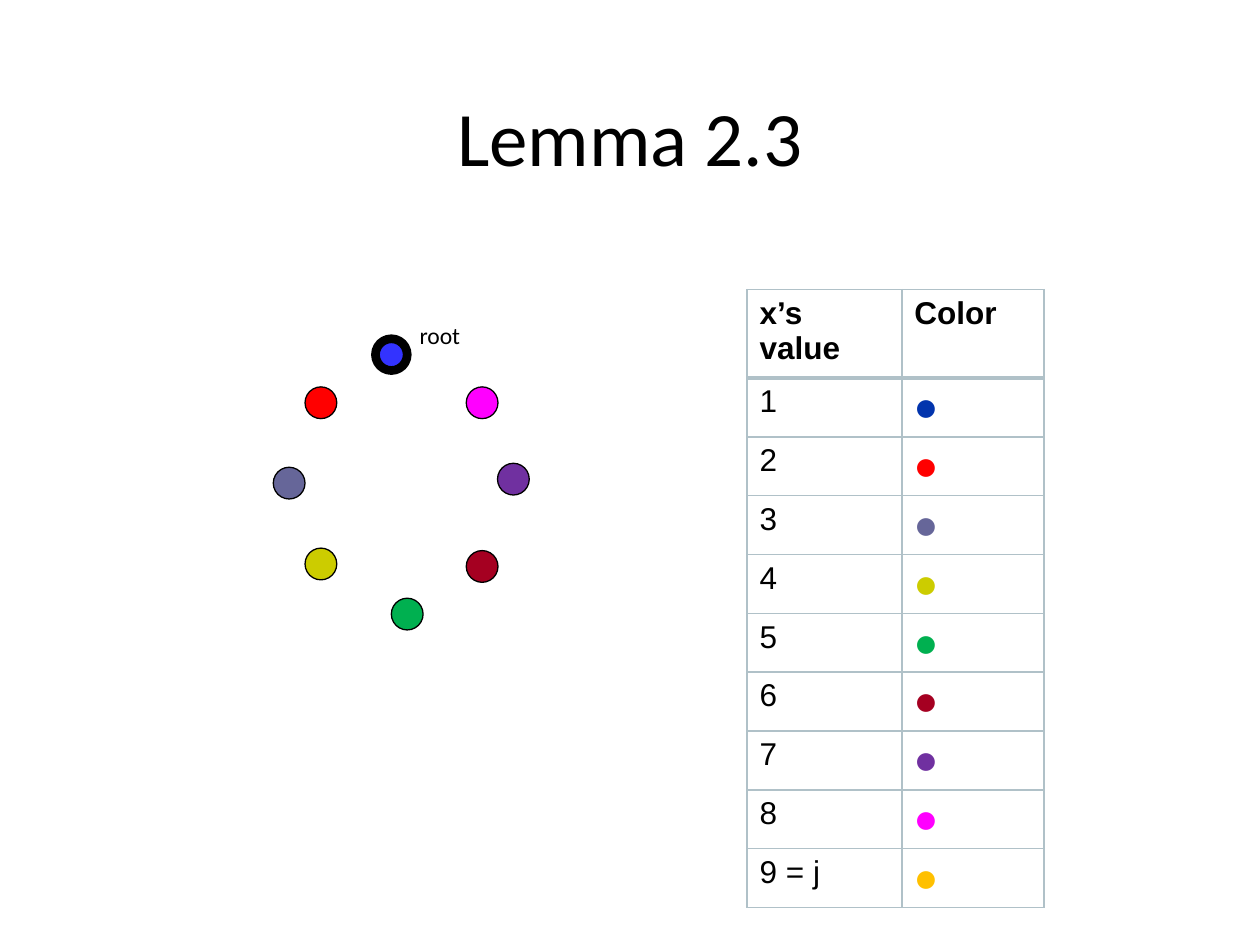
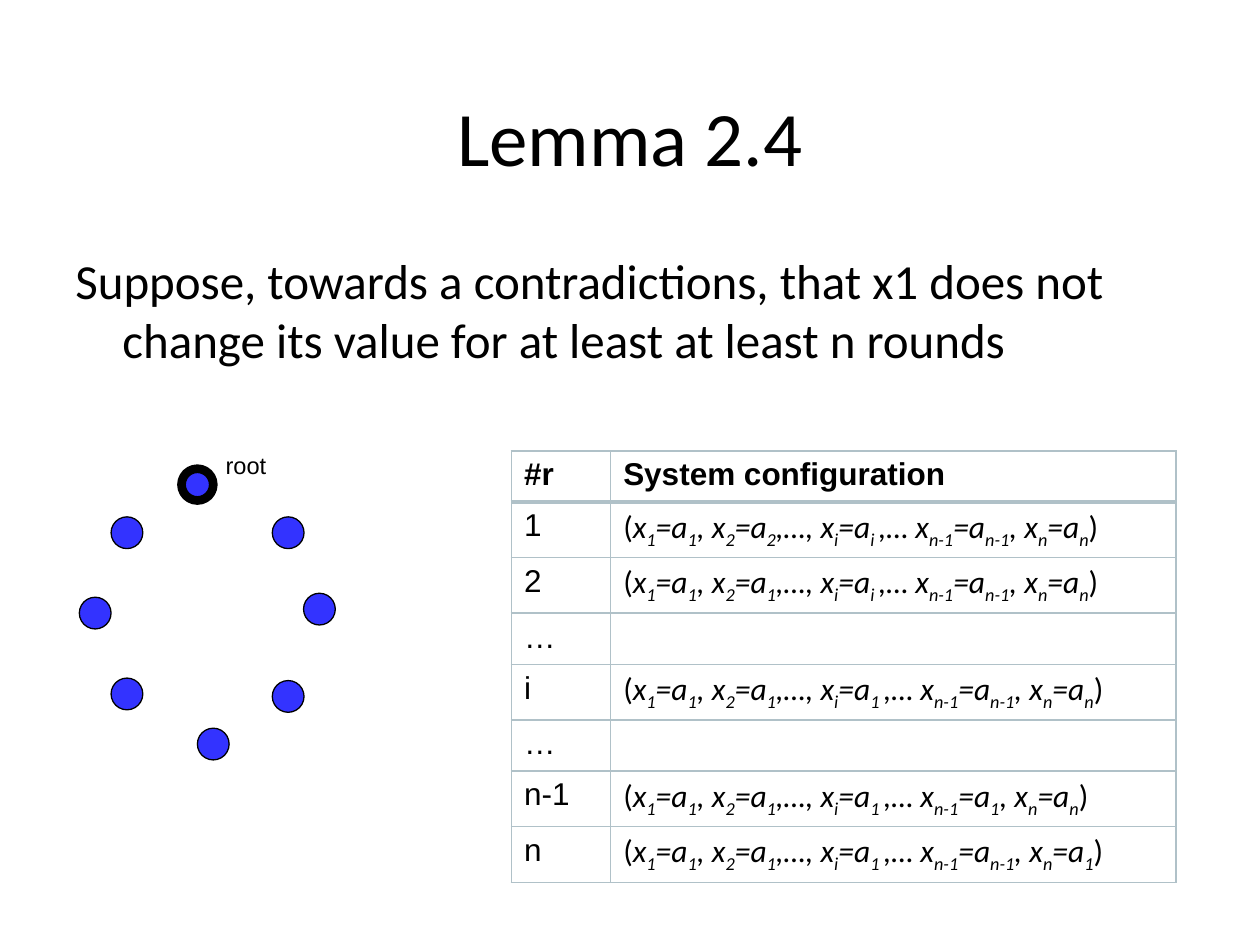
from dataclasses import dataclass

from lxml import etree
from pptx import Presentation
from pptx.dml.color import RGBColor
from pptx.enum.shapes import MSO_SHAPE
from pptx.enum.text import MSO_ANCHOR, MSO_AUTO_SIZE, PP_ALIGN
from pptx.oxml.ns import qn
from pptx.util import Cm, Pt

OVAL = MSO_SHAPE.OVAL
CENTER, LEFT = PP_ALIGN.CENTER, PP_ALIGN.LEFT
MIDDLE, TOP = MSO_ANCHOR.MIDDLE, MSO_ANCHOR.TOP
GROW = MSO_AUTO_SIZE.SHAPE_TO_FIT_TEXT
GRID_STYLE = "{5940675A-B579-460E-94D1-54222C63F5DA}"
BLANK = 6


@dataclass(frozen=True)
class Theme:
    ink: str = "000000"
    node: str = "3333FF"
    border: str = "B0C1C8"
    heading_font: str = "Calibri"
    table_font: str = "Arial"
    title_size: float = 44
    body_size: float = 28
    dot_size: float = 22
    table_size: float = 18
    label_size: float = 13.5
    node_line: float = 0.75
    root_line: float = 5
    border_width: float = 1
    header_rule: float = 3


THEME = Theme()

# Processors counter-clockwise from the root, as offsets in cm from the root.
RING = [(0, 0), (-1.42, 0.97), (-2.06, 2.59), (-1.42, 4.22),
        (0.32, 5.23), (1.83, 4.27), (2.46, 2.51), (1.83, 0.97)]
NODE_SIZE = 0.64
VALUE_COLORS = ["0234AD", "FF0000", "666699", "CCCC00", "00B050",
                "A50021", "7030A0", "FF00FF", "FFC000"]


class SlideBuilder:
    def __init__(self, deck, theme):
        self.deck = deck
        self.theme = theme
        self.page = None

    def start(self, title):
        self.page = self.deck.slides.add_slide(self.deck.slide_layouts[BLANK])
        box = self.text(self.page.shapes, title, (1.27, 1.14, 22.86, 3.18),
                        self.theme.title_size, align=CENTER)
        box.text_frame.vertical_anchor = MIDDLE

    def style(self, para, size, font, color=None, bold=False):
        para.font.size = Pt(size)
        para.font.name = font
        para.font.bold = bold
        para.font.color.rgb = RGBColor.from_string(color or self.theme.ink)

    def text(self, shapes, words, place, size, font=None, align=LEFT, hanging=0):
        """Add a wrapped text box at place (left, top, width, height in cm)."""
        box = shapes.add_textbox(*map(Cm, place))
        box.text_frame.word_wrap = True
        box.text_frame.vertical_anchor = TOP
        para = box.text_frame.paragraphs[0]
        para.text = words
        para.alignment = align
        self.style(para, size, font or self.theme.heading_font)
        if hanging:
            properties = para._p.get_or_add_pPr()
            properties.set("marL", str(Cm(hanging)))
            properties.set("indent", str(-Cm(hanging)))
        return box

    def body(self, words):
        self.text(self.page.shapes, words, (1.27, 4.93, 22.86, 12.57),
                  self.theme.body_size, hanging=0.95)

    def ring(self, left, top, colors, label_font):
        """Draw the processor ring with its root node at left, top."""
        shapes = self.page.shapes.add_group_shape().shapes
        for (dx, dy), color in zip(RING, colors):
            node = shapes.add_shape(OVAL, Cm(left + dx), Cm(top + dy),
                                    Cm(NODE_SIZE), Cm(NODE_SIZE))
            node.shadow.inherit = False
            node.fill.solid()
            node.fill.fore_color.rgb = RGBColor.from_string(color)
            node.line.color.rgb = RGBColor.from_string(self.theme.ink)
            is_root = (dx, dy) == RING[0]
            node.line.width = Pt(self.theme.root_line if is_root
                                 else self.theme.node_line)
        label = self.text(shapes, "root", (left + 0.64, top - 0.48, 2.06, 0.84),
                          self.theme.label_size, label_font, hanging=0.71)
        label.text_frame.auto_size = GROW

    def table(self, left, top, widths, row_height, headers, rows, fill_last):
        """Add a grid; fill_last(para, value) writes each last-column cell."""
        count = len(rows) + 1
        frame = self.page.shapes.add_table(
            count, len(widths), Cm(left), Cm(top),
            Cm(sum(widths)), Cm(row_height * count))
        table = frame.table
        table.horz_banding = False
        table._tbl.tblPr.find(qn("a:tableStyleId")).text = GRID_STYLE
        for column, width in zip(table.columns, widths):
            column.width = Cm(width)
        for row in table.rows:
            row.height = Cm(row_height)
        for number, values in enumerate([headers, *rows]):
            for index, value in enumerate(values):
                cell = table.cell(number, index)
                self.borders(cell, number)
                cell.fill.background()
                para = cell.text_frame.paragraphs[0]
                self.style(para, self.theme.table_size, self.theme.table_font,
                           bold=number == 0)
                if number and index:
                    fill_last(para, value)
                else:
                    para.text = value

    def borders(self, cell, row):
        """Rule every side, heavier between the header and the first row."""
        heavy_side = {0: "lnB", 1: "lnT"}.get(row)
        properties = cell._tc.get_or_add_tcPr()
        for side in ("lnL", "lnR", "lnT", "lnB"):
            width = (self.theme.header_rule if side == heavy_side
                     else self.theme.border_width)
            line = etree.SubElement(properties, qn(f"a:{side}"), w=str(Pt(width)))
            fill = etree.SubElement(line, qn("a:solidFill"))
            etree.SubElement(fill, qn("a:srgbClr"), val=self.theme.border)

    def color_dot(self, para, color):
        para.text = "●"
        self.style(para, self.theme.dot_size, self.theme.heading_font, color)

    def configuration(self, para, values):
        """Write (x1=a.., x2=a.., ...) with the given subscripts of a."""
        if not values:
            return
        para.font.name = self.theme.heading_font
        para.add_run().text = "("
        leads = ["x", ", x", ",…, x", ",… x", ", x"]
        for lead, name, value in zip(leads, ["1", "2", "i", "n-1", "n"], values):
            gap = " " if name == "i" else ""
            pieces = [(lead, False), (name, True), ("=a", False), (value + gap, True)]
            for words, subscript in pieces:
                span = para.add_run()
                span.text = words
                span.font.italic = True
                if subscript:
                    span._r.get_or_add_rPr().set("baseline", "-25000")
        para.add_run().text = ")"


def lemma_2_3(builder):
    builder.start("Lemma 2.3")
    builder.ring(7.57, 6.83, [THEME.node, *VALUE_COLORS[1:]], THEME.heading_font)
    names = [*map(str, range(1, 9)), "9 = j"]
    builder.table(15.06, 5.84, [3.12, 2.87], 1.03, ["x’s value", "Color"],
                  list(zip(names, VALUE_COLORS)), builder.color_dot)


def lemma_2_4(builder):
    builder.start("Lemma 2.4")
    builder.body("Suppose, towards a contradictions, that x1 does not change "
                 "its value for at least at least n rounds")
    builder.ring(3.66, 9.45, [THEME.node] * len(RING), THEME.table_font)
    rounds = [
        ("1", ["1", "2", "i", "n-1", "n"]),
        ("2", ["1", "1", "i", "n-1", "n"]),
        ("…", []),
        ("i", ["1", "1", "1", "n-1", "n"]),
        ("…", []),
        ("n-1", ["1", "1", "1", "1", "n"]),
        ("n", ["1", "1", "1", "n-1", "1"]),
    ]
    builder.table(10.31, 9.09, [2, 11.4], 1.03, ["#r", "System configuration"],
                  rounds, builder.configuration)


def main():
    deck = Presentation()
    deck.slide_width, deck.slide_height = Cm(25.4), Cm(19.05)
    builder = SlideBuilder(deck, THEME)
    lemma_2_3(builder)
    lemma_2_4(builder)
    deck.save("out.pptx")


if __name__ == "__main__":
    main()
